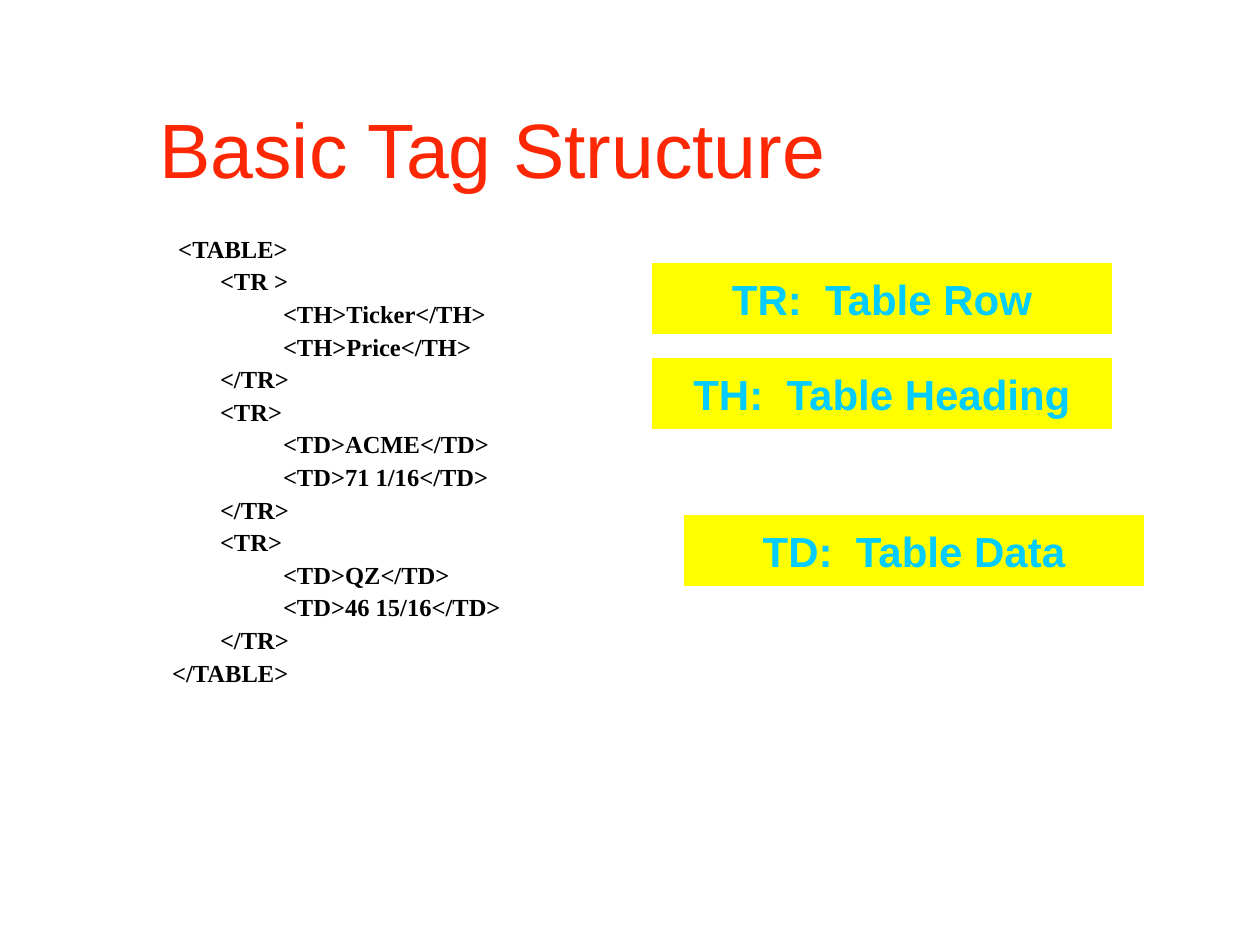
import pptx
import pptx.dml.color
import pptx.enum.shapes
import pptx.enum.text
import pptx.oxml
import pptx.oxml.ns
import pptx.util

RED = pptx.dml.color.RGBColor(0xFD, 0x27, 0x03)
BLACK = pptx.dml.color.RGBColor(0, 0, 0)
YELLOW = pptx.dml.color.RGBColor(0xFF, 0xFF, 0)
CYAN = pptx.dml.color.RGBColor(0, 0xCC, 0xFF)
WHITE = pptx.dml.color.RGBColor(0xFF, 0xFF, 0xFF)

ANCHOR = pptx.enum.text.MSO_ANCHOR
NS = pptx.oxml.ns.nsdecls("a")
PX_PER_INCH = 126

CODE = [
    "\u00a0<TABLE>".replace("\u00a0", chr(160)),
    "\t<TR >",
    "\t\t<TH>Ticker</TH>",
    "\t\t<TH>Price</TH>",
    "\t</TR>",
    "\t<TR>",
    "\t\t<TD>ACME</TD>",
    "\t\t<TD>71 1/16</TD>",
    "\t</TR>",
    "\t<TR>",
    "\t\t<TD>QZ</TD>",
    "\t\t<TD>46 15/16</TD>",
    "\t</TR>",
    "</TABLE>",
]

# text, box left, box top, arrow height, arrow tip
LABELS = [
    ("TR:  Table Row", 651, 262, 294, 336),
    ("TH:  Table Heading", 651, 357, 388, 567),
    ("TD:  Table Data", 683, 514, 525, 588),
]


def px(n):
    return pptx.util.Emu(round(n * 914400 / PX_PER_INCH))


def write(p, text, font="Arial", size=24, color=BLACK, bold=False, align=None):
    r = p.add_run()
    r.text = text
    r.font.name = font
    r.font.size = pptx.util.Pt(size)
    r.font.color.rgb = color
    r.font.bold = bold
    p.alignment = align


def indent_code(p):
    """Set a hanging indent with one tab stop per inch."""
    p.line_spacing = 0.9
    p.space_before = pptx.util.Pt(3.5)
    pPr = p._p.get_or_add_pPr()
    hang = pptx.util.Inches(0.38)
    pPr.set("marL", str(hang))
    pPr.set("indent", str(-hang))
    stops = "".join(f'<a:tab pos="{pptx.util.Inches(i)}" algn="l"/>' for i in range(8))
    pPr.append(pptx.oxml.parse_xml(f"<a:tabLst {NS}>{stops}</a:tabLst>"))


class Deck:
    """Holds the style and the current slide."""

    label_size = (462, 73)
    arrow_gap = 11

    def __init__(self, prs):
        self.s = prs.slides.add_slide(prs.slide_layouts[6])

    def text_box(self, x, y, w, h, anchor=ANCHOR.TOP, side=0.1):
        tf = self.s.shapes.add_textbox(px(x), px(y), px(w), px(h)).text_frame
        tf.word_wrap = True
        tf.vertical_anchor = anchor
        tf.margin_left = tf.margin_right = pptx.util.Inches(side)
        return tf

    def title(self, text):
        tf = self.text_box(147, 42, 1071, 158, anchor=ANCHOR.BOTTOM)
        write(tf.paragraphs[0], text, size=44, color=RED)

    def code(self, lines):
        tf = self.text_box(147, 231, 1071, 567, side=0.2)
        for i, line in enumerate(lines):
            p = tf.add_paragraph() if i else tf.paragraphs[0]
            write(p, line, font="Times New Roman", size=14, bold=True)
            indent_code(p)

    def label(self, text, x, y):
        w, h = self.label_size
        sp = self.s.shapes.add_shape(
            pptx.enum.shapes.MSO_SHAPE.RECTANGLE, px(x), px(y), px(w), px(h))
        sp.shadow.inherit = False
        sp.fill.solid()
        sp.fill.fore_color.rgb = YELLOW
        sp.line.color.rgb = WHITE
        sp.line.width = pptx.util.Pt(0.75)
        tf = sp.text_frame
        tf.word_wrap = False
        tf.vertical_anchor = ANCHOR.MIDDLE
        write(tf.paragraphs[0], text, color=CYAN, bold=True,
              align=pptx.enum.text.PP_ALIGN.CENTER)

    def arrow(self, x1, x2, y):
        c = self.s.shapes.add_connector(
            pptx.enum.shapes.MSO_CONNECTOR.STRAIGHT, px(x1), px(y), px(x2), px(y))
        c.line.color.rgb = WHITE
        c.line.width = pptx.util.Pt(2.25)
        c.line._get_or_add_ln().append(
            pptx.oxml.parse_xml(f'<a:tailEnd {NS} type="triangle"/>'))
        c._element.spPr.append(pptx.oxml.parse_xml(f"<a:effectLst {NS}/>"))


def main():
    prs = pptx.Presentation()
    prs.slide_width = pptx.util.Inches(10)
    prs.slide_height = pptx.util.Inches(7.5)
    deck = Deck(prs)
    deck.title("Basic Tag Structure")
    deck.code(CODE)
    for text, x, y, arrow_y, tip in LABELS:
        deck.label(text, x, y)
        deck.arrow(x - deck.arrow_gap, tip, arrow_y)
    prs.save("out.pptx")


if __name__ == "__main__":
    main()
